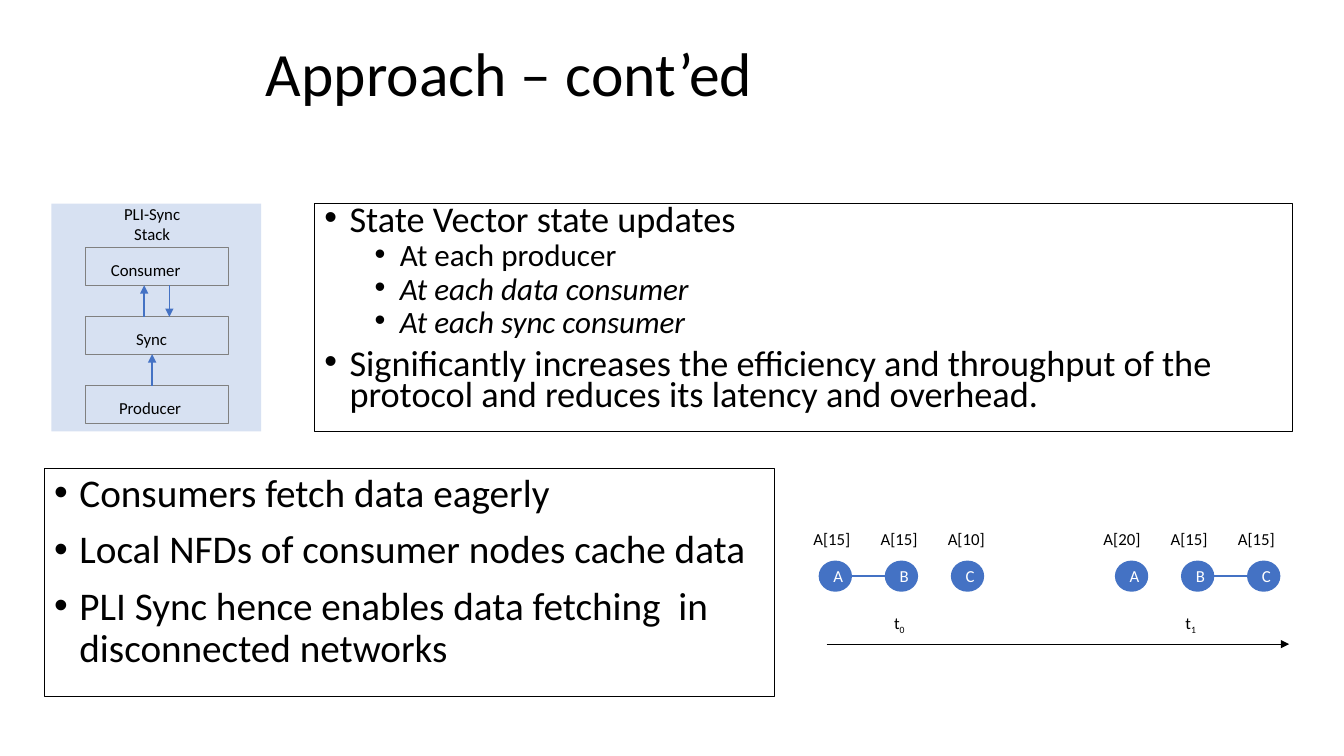
from lxml import etree
from pptx import Presentation
from pptx.dml.color import RGBColor
from pptx.enum.shapes import MSO_CONNECTOR as Conn, MSO_SHAPE as Geo
from pptx.enum.text import MSO_ANCHOR as Anchor, PP_ALIGN as Align
from pptx.oxml.ns import qn
from pptx.util import Pt

# Content
BLACK, WHITE, BLUE, GRAY = "000000", "FFFFFF", "4472C4", "808080"
TITLE = "Approach – cont’ed"
# Bullets: level, text, size, italic
STATE = [
    (0, "State Vector state updates", 25.9, False),
    (1, "At each producer", 22.2, False),
    (1, "At each data consumer", 22.2, True),
    (1, "At each sync consumer", 22.2, True),
    (0, "Significantly increases the efficiency and throughput of the "
        "protocol and reduces its latency and overhead.", 25.9, False),
]
FETCH = [(0, text, 28, False) for text in (
    "Consumers fetch data eagerly",
    "Local NFDs of consumer nodes cache data",
    "PLI Sync hence enables data fetching  in disconnected networks",
)]
# Stack layers: text, text left, text width
LAYERS = [("Consumer", 79.2, 59.8), ("Sync", 97.2, 30.2), ("Producer", 85, 54)]
# Time steps: versions held by A, B and C, index of linked pair
STEPS = [(("A[15]", "A[15]", "A[10]"), 0), (("A[20]", "A[15]", "A[15]"), 1)]

deck = Presentation()
deck.slide_width, deck.slide_height = Pt(960), Pt(540)
slide = deck.slides.add_slide(deck.slide_layouts[6])
shapes = slide.shapes


# Helpers
def color(code):
    return RGBColor.from_string(code)


def style(item, form):
    for name, value in form.items():
        setattr(item, name, value)


def write(par, text, size=12, ink=BLACK, italic=False):
    run = par.add_run()
    run.text = text
    style(run.font, {"name": "Calibri", "size": Pt(size), "italic": italic})
    run.font.color.rgb = color(ink)
    return run


def shape(geo, box, fill=None, edge=None):
    item = shapes.add_shape(geo, *map(Pt, box))
    item.shadow.inherit = False
    if fill:
        item.fill.solid()
        item.fill.fore_color.rgb = color(fill)
    else:
        item.fill.background()
    if edge:
        item.line.color.rgb = color(edge)
        item.line.width = Pt(0.75)
    else:
        item.line.fill.background()
    return item


def label(box, *lines, align=Align.LEFT):
    frame = shapes.add_textbox(*map(Pt, box)).text_frame
    style(frame, {"margin_left": 0, "margin_right": 0, "margin_top": 0,
                  "margin_bottom": 0, "word_wrap": False})
    for n, text in enumerate(lines):
        par = frame.add_paragraph() if n else frame.paragraphs[0]
        par.alignment = align
        write(par, text)
    return frame.paragraphs[0]


def line(x1, y1, x2, y2, ink=BLUE, width=1, arrow=True):
    item = shapes.add_connector(Conn.STRAIGHT, *map(Pt, (x1, y1, x2, y2)))
    item.line.color.rgb = color(ink)
    item.line.width = Pt(width)
    if arrow:
        etree.SubElement(item.line._get_or_add_ln(), qn("a:tailEnd"), type="triangle")
    etree.SubElement(item._element.spPr, qn("a:effectLst"))


def panel(box, items, space):
    frame = shape(Geo.RECTANGLE, box, edge=BLACK).text_frame
    style(frame, {"word_wrap": True, "vertical_anchor": Anchor.TOP})
    for n, (level, text, size, italic) in enumerate(items):
        par = frame.add_paragraph() if n else frame.paragraphs[0]
        props = par._p.get_or_add_pPr()
        props.set("marL", str(Pt(18 + 36 * level)))
        props.set("indent", str(-Pt(18)))
        etree.SubElement(props, qn("a:buFont"), typeface="Arial")
        etree.SubElement(props, qn("a:buChar"), char="•")
        style(par, {"level": level, "alignment": Align.LEFT, "line_spacing": space,
                    "space_before": Pt((5 if level else 10) if n else 0)})
        write(par, text, size, italic=italic)


# Title
head = shapes.add_textbox(*map(Pt, (182.9, 15.8, 711.4, 77.8))).text_frame
style(head, {"word_wrap": True, "vertical_anchor": Anchor.MIDDLE})
head.paragraphs[0].line_spacing = 0.9
write(head.paragraphs[0], TITLE, 44)

# Text panels
panel((224.6, 145.5, 698.4, 162.7), STATE, 0.7)
panel((31.7, 334.8, 521.3, 162.7), FETCH, 0.9)

# Protocol stack
back = shape(Geo.RECTANGLE, (36.7, 145.5, 149.8, 162.7), BLUE)
tint = back._element.spPr.find(".//" + qn("a:srgbClr"))
etree.SubElement(tint, qn("a:alpha"), val="21000")
label((72.7, 145.5, 72, 22.3), "PLI-Sync", "Stack", align=Align.CENTER)
TOP, STEP, HIGH = 177.1, 49.3, 26.6
for n, (text, left, wide) in enumerate(LAYERS):
    y = TOP + n * STEP
    shape(Geo.RECTANGLE, (61.2, y, 102.2, HIGH), edge=GRAY)
    label((left, y + 8.6, wide, 13), text)
upper, sync = TOP + HIGH, TOP + STEP
line(103, sync, 103, upper)
line(121, upper, 121, sync)
line(108.7, sync + STEP, 108.7, sync + HIGH)

# Node states over time
WIDE, TALL, NODE, GAP = 23.8, 22.3, 400.4, 47.2
for n, (states, pair) in enumerate(STEPS):
    left = 584.8 + n * 211.6
    for k, (name, state) in enumerate(zip("ABC", states)):
        node = shape(Geo.OVAL, (left + k * GAP, NODE, WIDE, TALL), BLUE)
        node.text_frame.vertical_anchor = Anchor.MIDDLE
        par = node.text_frame.paragraphs[0]
        par.alignment = Align.CENTER
        write(par, name, ink=WHITE)
        label((581 + n * 207.2 + k * 48, 378, 30.2, 14.4), state)
    start, mid = left + pair * GAP, NODE + TALL / 2
    line(start + WIDE, mid, start + GAP, mid, arrow=False)
    par = label((638.6 + n * 208.1, 437.8, 18, 22.3), "t")
    write(par, str(n)).font._element.set("baseline", "-25000")
line(590.4, 460.1, 920.9, 460.1, BLACK, 0.5)

deck.save("out.pptx")
